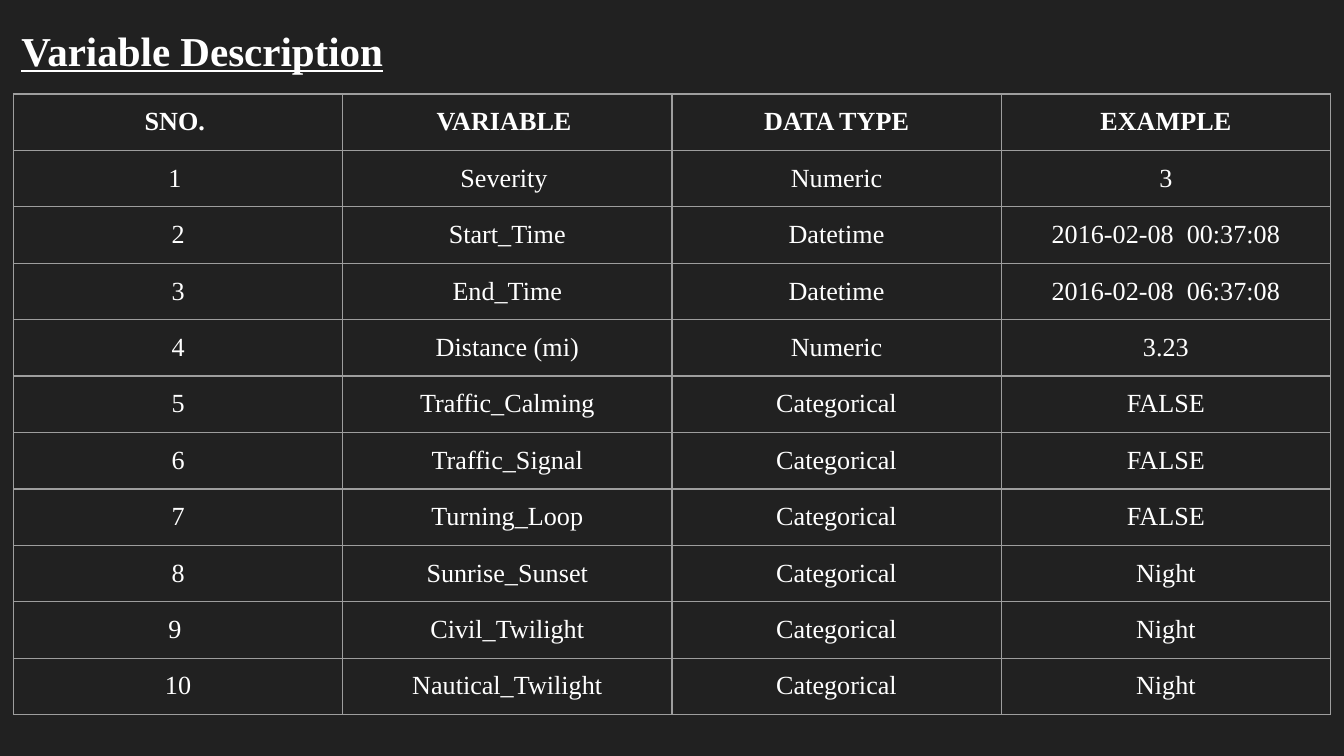
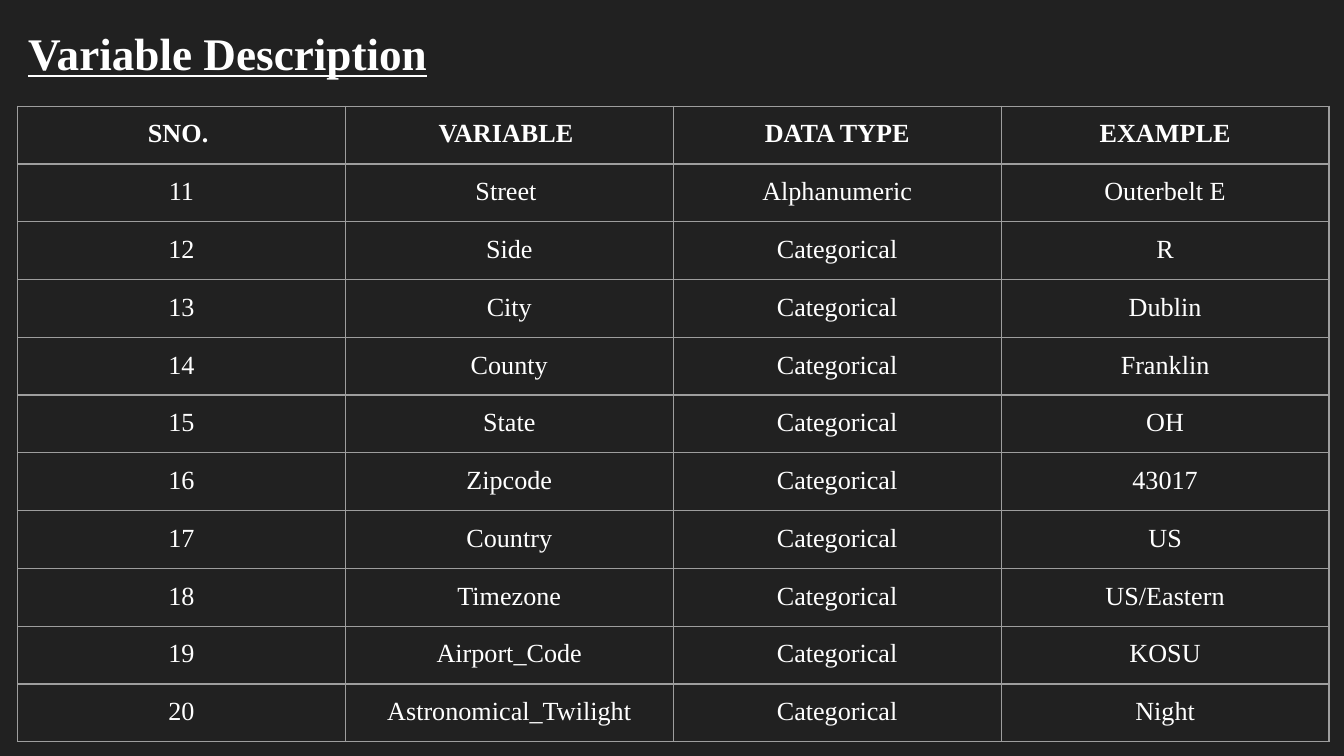
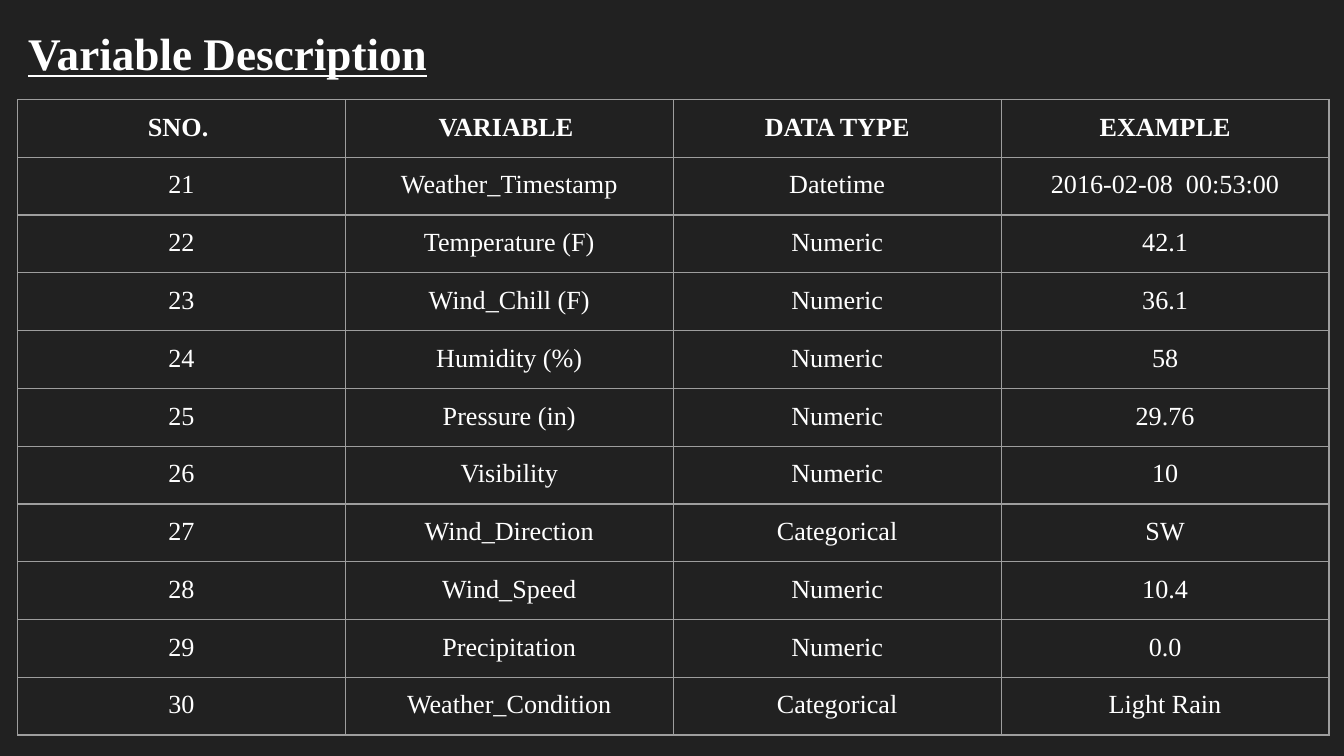
from lxml.etree import SubElement
from pptx import Presentation
from pptx.dml.color import RGBColor
from pptx.enum.text import MSO_ANCHOR, MSO_AUTO_SIZE, PP_ALIGN
from pptx.oxml.ns import qn
from pptx.util import Inches, Pt

FONT = "Times New Roman"
BACKGROUND = "212121"
WHITE = "FFFFFF"
GRID = "9E9E9E"
GRID_WIDTH = Pt(0.75)
TITLE = "Variable Description"
HEADINGS = ("SNO. ", "VARIABLE ", "DATA TYPE", "EXAMPLE")

ROAD_VARIABLES = [
    ("1 ", "Severity ", "Numeric", "3"),
    ("2", "Start_Time", "Datetime", "2016-02-08  00:37:08"),
    ("3", "End_Time", "Datetime", "2016-02-08  06:37:08"),
    ("4", "Distance (mi)", "Numeric", "3.23"),
    ("5", "Traffic_Calming", "Categorical", "FALSE"),
    ("6", "Traffic_Signal", "Categorical", "FALSE"),
    ("7", "Turning_Loop", "Categorical", "FALSE"),
    ("8", "Sunrise_Sunset", "Categorical", "Night"),
    ("9 ", "Civil_Twilight", "Categorical", "Night"),
    ("10", "Nautical_Twilight", "Categorical", "Night"),
]
PLACE_VARIABLES = [
    ("11", "Street ", "Alphanumeric", "Outerbelt E"),
    ("12", "Side", "Categorical", "R"),
    ("13", "City", "Categorical", "Dublin"),
    ("14", "County", "Categorical", "Franklin"),
    ("15", "State", "Categorical", "OH"),
    ("16", "Zipcode", "Categorical", "43017"),
    ("17", "Country", "Categorical", "US"),
    ("18", "Timezone", "Categorical", "US/Eastern"),
    ("19", "Airport_Code", "Categorical", "KOSU"),
    ("20", "Astronomical_Twilight", "Categorical", "Night"),
]
WEATHER_VARIABLES = [
    ("21", "Weather_Timestamp", "Datetime", "2016-02-08  00:53:00"),
    ("22", "Temperature (F)", "Numeric", "42.1"),
    ("23", "Wind_Chill (F)", "Numeric", "36.1"),
    ("24", "Humidity (%)", "Numeric", "58"),
    ("25", "Pressure (in)", "Numeric", "29.76"),
    ("26", "Visibility", "Numeric", "10"),
    ("27", "Wind_Direction", "Categorical", "SW"),
    ("28", "Wind_Speed", "Numeric", "10.4"),
    ("29", "Precipitation", "Numeric", "0.0"),
    ("30", "Weather_Condition", "Categorical", "Light Rain"),
]


def rgb(hex_color):
    return RGBColor.from_string(hex_color)


def style_text(paragraph, size, align, bold, underline=None):
    paragraph.alignment = align
    for run in paragraph.runs:
        font = run.font
        font.name, font.size = FONT, Pt(size)
        font.bold, font.underline = bold, underline
        font.color.rgb = rgb(WHITE)


def set_margins(target, top=0.1):
    target.margin_left = target.margin_right = target.margin_bottom = Inches(0.1)
    target.margin_top = Inches(top)


def add_title(slide, left, height, size):
    title = slide.shapes.title
    title.left, title.top = Inches(left), Inches(0.05)
    title.width, title.height = Inches(9.32), Inches(height)
    frame = title.text_frame
    frame.text = TITLE
    frame.word_wrap = True
    frame.auto_size = MSO_AUTO_SIZE.NONE
    frame.vertical_anchor = MSO_ANCHOR.TOP
    set_margins(frame, top=0.14)
    style_text(frame.paragraphs[0], size, PP_ALIGN.LEFT, True, True)


def add_borders(cell):
    properties = cell._tc.get_or_add_tcPr()
    for side in ("a:lnL", "a:lnR", "a:lnT", "a:lnB"):
        line = SubElement(properties, qn(side), w=str(int(GRID_WIDTH)))
        fill = SubElement(line, qn("a:solidFill"))
        SubElement(fill, qn("a:srgbClr"), val=GRID)


def fill_cell(cell, text, bold):
    cell.text_frame.text = text
    style_text(cell.text_frame.paragraphs[0], 14, PP_ALIGN.CENTER, bold)
    set_margins(cell)
    cell.vertical_anchor = MSO_ANCHOR.TOP
    add_borders(cell)
    cell.fill.background()


def add_variable_table(slide, variables, left, top, column_width, row_height):
    rows = [HEADINGS, *variables]
    table = slide.shapes.add_table(
        len(rows), len(HEADINGS), Inches(left), Inches(top),
        Inches(column_width * len(HEADINGS)), Inches(row_height * len(rows)),
    ).table
    table.first_row = table.horz_banding = False
    for column in table.columns:
        column.width = Inches(column_width)
    for row_index, values in enumerate(rows):
        table.rows[row_index].height = Inches(row_height)
        for column_index, value in enumerate(values):
            fill_cell(table.cell(row_index, column_index), value, row_index == 0)


def main():
    prs = Presentation()
    prs.slide_width = Inches(10)
    prs.slide_height = prs.slide_width * 9 // 16
    background = prs.slide_master.background.fill
    background.solid()
    background.fore_color.rgb = rgb(BACKGROUND)

    first_title, later_title = (0.06, 0.52, 22), (0.11, 0.63, 24.2)
    pages = [
        (first_title, ROAD_VARIABLES, (0.1, 0.7, 2.45, 0.42)),
        (later_title, PLACE_VARIABLES, (0.13, 0.79, 2.44, 0.43)),
        (later_title, WEATHER_VARIABLES, (0.13, 0.74, 2.44, 0.43)),
    ]
    title_only = prs.slide_layouts.get_by_name("Title Only")
    for title_format, variables, grid in pages:
        slide = prs.slides.add_slide(title_only)
        add_title(slide, *title_format)
        add_variable_table(slide, variables, *grid)
    prs.save("out.pptx")


if __name__ == "__main__":
    main()
